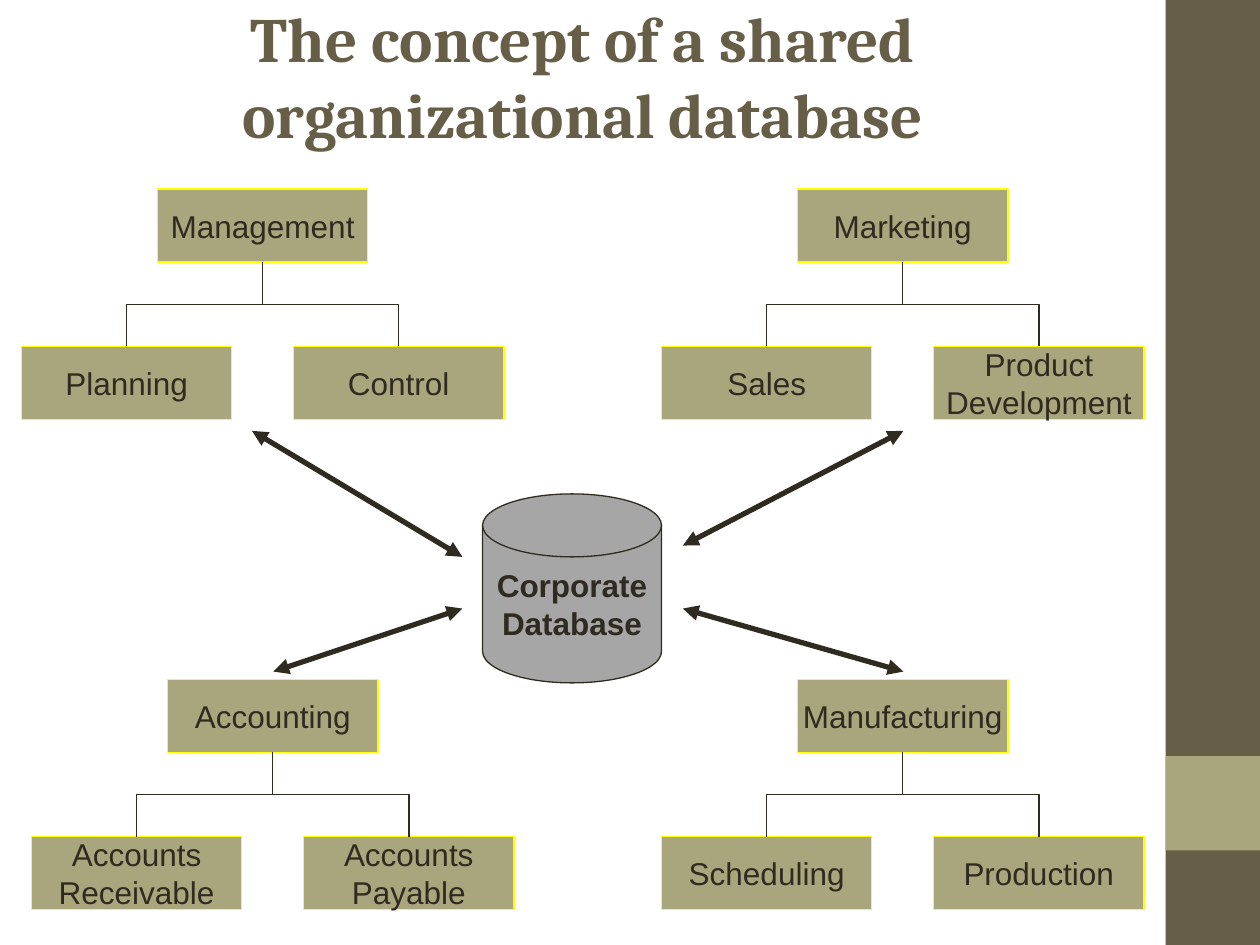
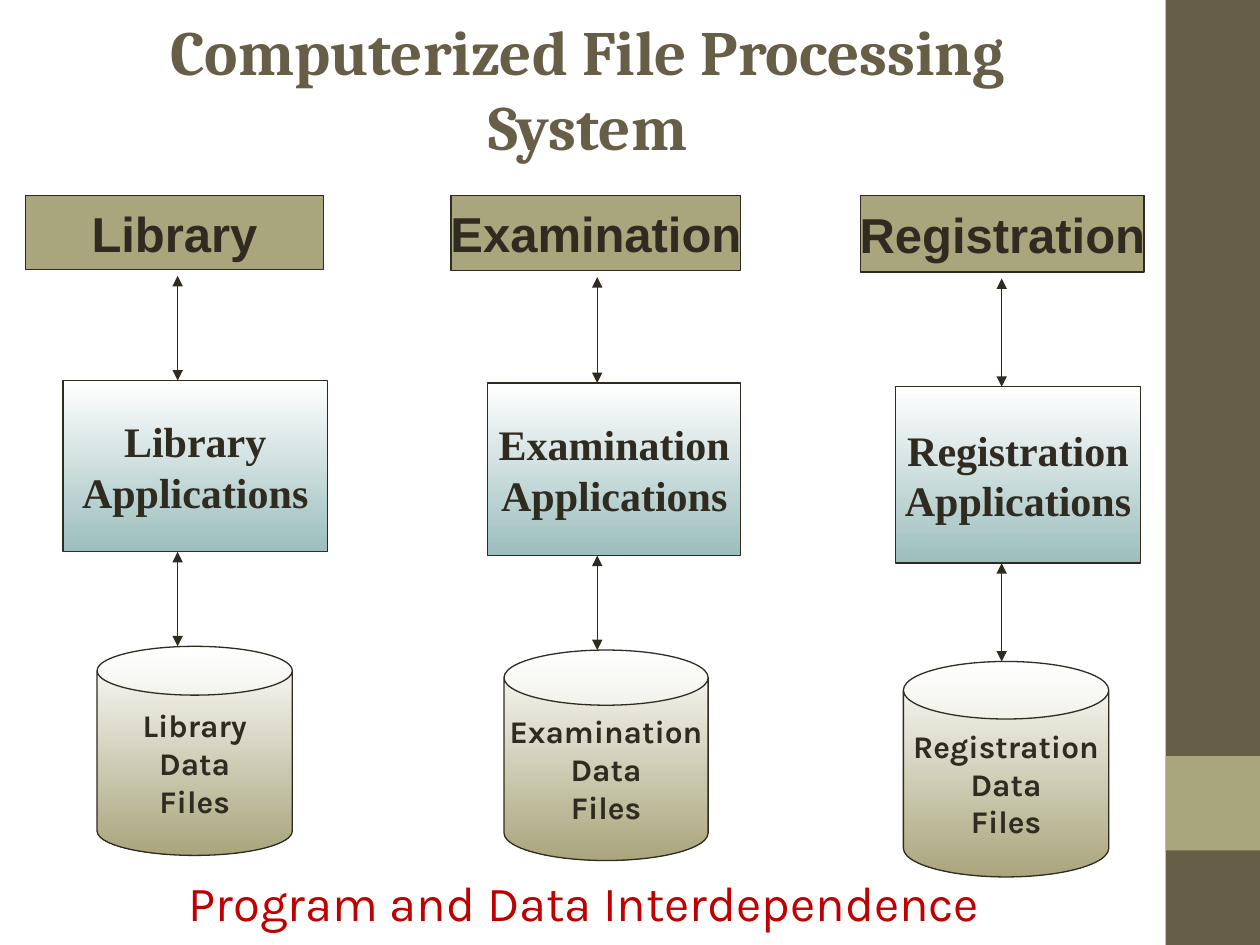
from dataclasses import dataclass

from lxml import etree
from pptx import Presentation
from pptx.dml.color import RGBColor
from pptx.enum.shapes import MSO_CONNECTOR, MSO_SHAPE
from pptx.enum.text import MSO_ANCHOR, PP_ALIGN
from pptx.oxml.ns import qn
from pptx.util import Inches, Pt

RECT, CAN, DISK = MSO_SHAPE.RECTANGLE, MSO_SHAPE.CAN, MSO_SHAPE.FLOWCHART_MAGNETIC_DISK
STRAIGHT, ELBOW = MSO_CONNECTOR.STRAIGHT, MSO_CONNECTOR.ELBOW
LEFT, CENTER = PP_ALIGN.LEFT, PP_ALIGN.CENTER
MIDDLE = MSO_ANCHOR.MIDDLE
TOP_SIDE, BOTTOM_SIDE = 0, 2


@dataclass(frozen=True)
class Theme:
    brown: str = "675E47"
    olive: str = "A9A57C"
    ink: str = "2F2B20"
    yellow: str = "FFFF00"
    gray: str = "A6A6A6"
    # Gradients run from top to bottom
    teal_fade: tuple = ("FFFFFF", "9CBEBD")
    olive_fade: tuple = ("FFFFFF", "A9A57C")
    # Text styles: font, size, bold, colour
    title: tuple = ("Cambria", 36, True, "675E47")
    unit: tuple = ("Arial", 18, False, "2F2B20")
    database: tuple = ("Arial", 18, True, "2F2B20")
    office: tuple = ("Arial", 28, True, "2F2B20")
    application: tuple = ("Times New Roman", 24, True, "2F2B20")
    files: tuple = ("Karla", 18, True, "2F2B20")
    caption: tuple = ("Karla", 28, False, "C00000")
    thin: float = 0.75
    thick: float = 3


theme = Theme()


def add_block(slide, kind, box, text="", style=None, fill=None, outline=None,
              wrap=False, align=CENTER):
    """Add a shape, or a text box if kind is None; each text line is a paragraph."""
    area = [Inches(length) for length in box]
    if kind is None:
        block = slide.shapes.add_textbox(*area)
    else:
        block = slide.shapes.add_shape(kind, *area)
        block.shadow.inherit = False
        if isinstance(fill, tuple):
            block.fill.gradient()
            block.fill.gradient_angle = 270
            for stop, color in zip(block.fill.gradient_stops, fill):
                stop.color.rgb = RGBColor.from_string(color)
        else:
            block.fill.solid()
            block.fill.fore_color.rgb = RGBColor.from_string(fill)
        if outline:
            block.line.color.rgb = RGBColor.from_string(outline)
            block.line.width = Pt(theme.thin)
        else:
            block.line.fill.background()
    if text:
        frame = block.text_frame
        frame.word_wrap = wrap
        frame.vertical_anchor = MIDDLE
        font, size, bold, color = style
        for number, line in enumerate(text.split("\n")):
            paragraph = frame.add_paragraph() if number else frame.paragraphs[0]
            paragraph.alignment = align
            run = paragraph.add_run()
            run.text = line
            run.font.name, run.font.size, run.font.bold = font, Pt(size), bold
            run.font.color.rgb = RGBColor.from_string(color)
    return block


def add_link(slide, kind, start, end, width, arrows=False):
    link = slide.shapes.add_connector(kind, *[Inches(v) for v in (*start, *end)])
    link.line.color.rgb = RGBColor.from_string(theme.ink)
    link.line.width = Pt(width)
    if arrows:
        for tip in ("a:headEnd", "a:tailEnd"):
            etree.SubElement(link.line._get_or_add_ln(), qn(tip), type="triangle")
    etree.SubElement(link.element.spPr, qn("a:effectLst"))
    return link


deck = Presentation()
deck.slide_width, deck.slide_height = Inches(10), Inches(7.5)

slides = []
for title, title_box in (
    ("The concept of a shared organizational database", (1.25, 0.15, 6.75, 0.89)),
    ("Computerized File Processing System", (0.5, 0.07, 8.33, 1.25)),
):
    slide = deck.slides.add_slide(deck.slide_layouts[6])
    add_block(slide, RECT, (9.25, 0, 0.75, 7.5), fill=theme.brown)
    add_block(slide, RECT, (9.25, 6, 0.75, 0.75), fill=theme.olive)
    add_block(slide, None, title_box, title, theme.title, wrap=True)
    slides.append(slide)
shared_slide, files_slide = slides

# Departments around the shared database
UNIT_W, UNIT_H = 1.67, 0.58
MEMBER_DX, MEMBER_DY = 1.08, 1.25
departments = (
    ("Accounting", 1.33, 5.39, ("Accounts\nReceivable", "Accounts\nPayable")),
    ("Management", 1.25, 1.5, ("Planning", "Control")),
    ("Manufacturing", 6.33, 5.39, ("Scheduling", "Production")),
    ("Marketing", 6.33, 1.5, ("Sales", "Product\nDevelopment")),
)
for department, x, y, members in departments:
    head = add_block(shared_slide, RECT, (x, y, UNIT_W, UNIT_H), department,
                     theme.unit, theme.olive, theme.yellow)
    for side, member in zip((-1, 1), members):
        unit = add_block(shared_slide, RECT,
                         (x + side * MEMBER_DX, y + MEMBER_DY, UNIT_W, UNIT_H),
                         member, theme.unit, theme.olive, theme.yellow)
        branch = add_link(shared_slide, ELBOW, (x, y), (x, y), theme.thin)
        branch.begin_connect(head, BOTTOM_SIDE)
        branch.end_connect(unit, TOP_SIDE)
        # A quarter turn makes the elbow leave the head downwards
        drop, reach = MEMBER_DY - UNIT_H, MEMBER_DX
        center_x = x + UNIT_W / 2 + side * reach / 2
        center_y = y + UNIT_H + drop / 2
        branch.left, branch.top = Inches(center_x - drop / 2), Inches(center_y - reach / 2)
        branch.width, branch.height = Inches(drop), Inches(reach)
        turn = branch.element.spPr.xfrm
        turn.rot = 90 if side < 0 else 270
        turn.flipH, turn.flipV = side > 0, False

add_block(shared_slide, DISK, (3.83, 3.92, 1.42, 1.5), "Corporate\nDatabase",
          theme.database, theme.gray, theme.ink)
for start, end in (
    ((2, 3.42), (3.67, 4.42)),
    ((3.67, 4.83), (2.17, 5.33)),
    ((7.17, 3.42), (5.42, 4.33)),
    ((5.42, 4.83), (7.17, 5.33)),
):
    add_link(shared_slide, STRAIGHT, start, end, theme.thick, arrows=True)

# Each office with its own applications and files
ARROW_GAP = 0.05
systems = (
    ("Registration", 7.95, (6.83, 1.55, 2.25, 0.61), (7.11, 3.07, 1.94, 1.4),
     (7.17, 5.25, 1.63, 1.71), 0.28),
    ("Examination", 4.74, (3.58, 1.55, 2.3, 0.6), (3.87, 3.04, 2.01, 1.37),
     (4, 5.16, 1.62, 1.67), 0.27),
    ("Library", 1.41, (0.2, 1.55, 2.37, 0.59), (0.5, 3.02, 2.1, 1.36),
     (0.77, 5.13, 1.55, 1.66), 0.25),
)
for office, arrow_x, office_box, application_box, files_box, lid in systems:
    add_block(files_slide, RECT, application_box, f"{office}\nApplications",
              theme.application, theme.teal_fade, theme.ink)
    files = add_block(files_slide, CAN, files_box, f"{office}\nData\nFiles",
                      theme.files, theme.olive_fade, theme.ink)
    files.adjustments[0] = lid
    add_block(files_slide, RECT, office_box, office, theme.office, theme.olive, theme.ink)
    office_bottom = office_box[1] + office_box[3]
    application_bottom = application_box[1] + application_box[3]
    for top, bottom in ((office_bottom + ARROW_GAP, application_box[1]),
                        (application_bottom, files_box[1])):
        add_link(files_slide, STRAIGHT, (arrow_x, top), (arrow_x, bottom),
                 theme.thin, arrows=True)

add_block(files_slide, None, (1.4, 6.87, 6.82, 0.57), "Program and Data Interdependence",
          theme.caption, align=LEFT)

deck.save("out.pptx")
